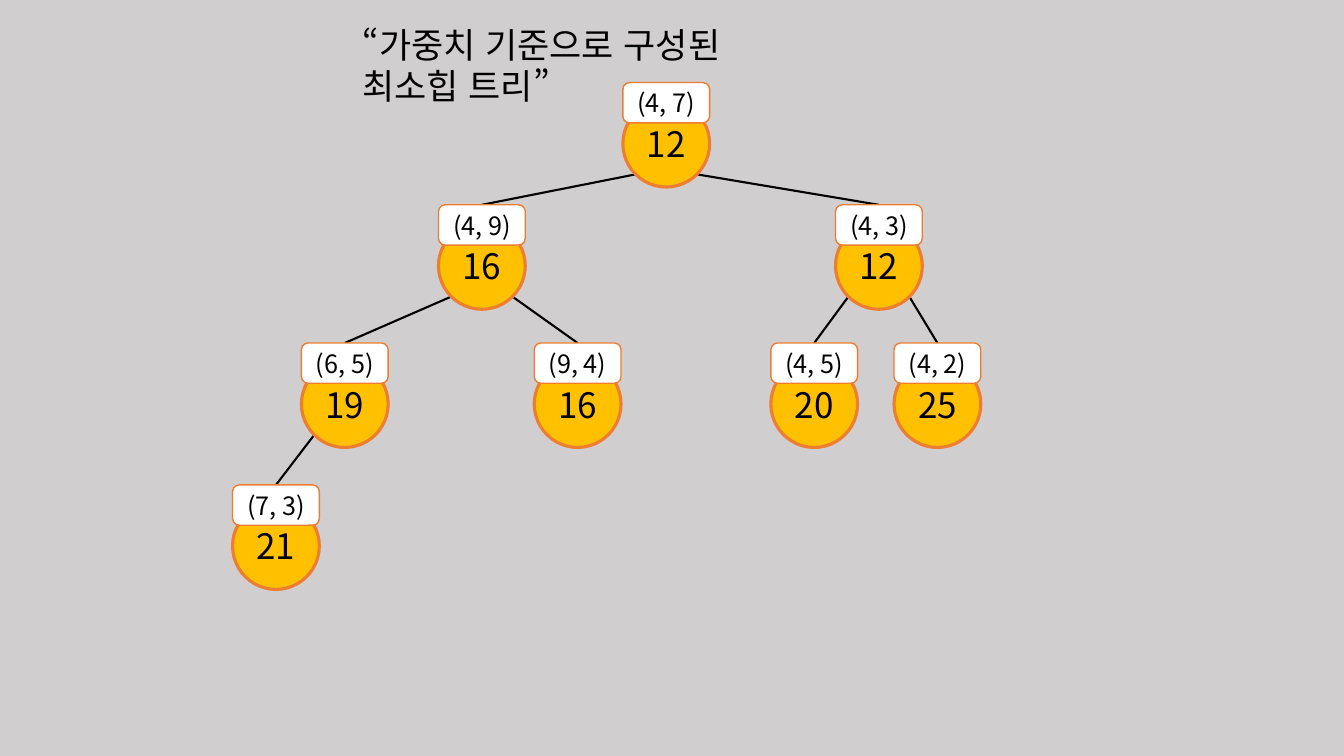
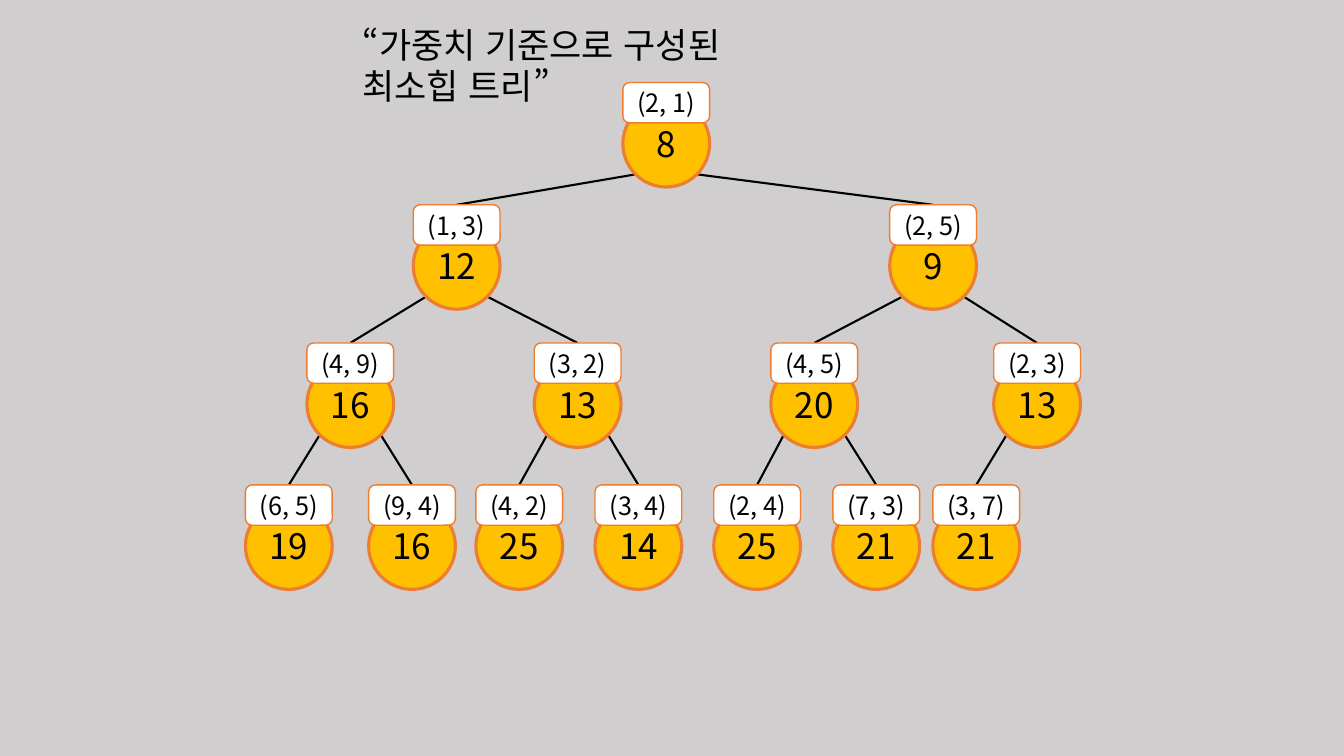
from lxml import etree
from pptx import Presentation
from pptx.dml.color import RGBColor
from pptx.enum.lang import MSO_LANGUAGE_ID
from pptx.enum.shapes import MSO_CONNECTOR, MSO_SHAPE
from pptx.enum.text import MSO_ANCHOR, MSO_AUTO_SIZE, PP_ALIGN
from pptx.oxml.ns import qn
from pptx.util import Pt

STRAIGHT = MSO_CONNECTOR.STRAIGHT
ELLIPSE, ROUNDED = MSO_SHAPE.OVAL, MSO_SHAPE.ROUNDED_RECTANGLE
MIDDLE, CENTER = MSO_ANCHOR.MIDDLE, PP_ALIGN.CENTER
FIT_SHAPE = MSO_AUTO_SIZE.SHAPE_TO_FIT_TEXT
KOREAN = MSO_LANGUAGE_ID.KOREAN

GREY = RGBColor(0xD0, 0xCE, 0xCE)
BLACK = RGBColor(0, 0, 0)
WHITE = RGBColor(0xFF, 0xFF, 0xFF)
GOLD = RGBColor(0xFF, 0xC0, 0x00)
ORANGE = RGBColor(0xED, 0x7D, 0x31)

FONT = "Noto Sans CJK KR"
LARGE = {"name": FONT, "size": Pt(25), "language_id": KOREAN}
SMALL = {**LARGE, "size": Pt(18)}

TITLE = "“가중치 기준으로 구성된 최소힙 트리”"
TITLE_BOX = (252, 13.5, 342.7, 37.4)
TITLE_LEADING = 29.6

LEVEL_TOPS = (59, 146.3, 245, 346.4)
NODE_SIZE = 62
BADGE_HEIGHT = 28.8
CIRCLE_DROP = 12.6
EDGE_DROP = 65.5
EDGE_SPREAD = 21.7

FIRST_TREE = (
    (475.9, "12", "(4, 7)"),
    (344.2, "16", "(4, 9)"),
    (627.8, "12", "(4, 3)"),
    (246.3, "19", "(6, 5)"),
    (412.6, "16", "(9, 4)"),
    (581.6, "20", "(4, 5)"),
    (669.6, "25", "(4, 2)"),
    (197.1, "21", "(7, 3)"),
)
SECOND_TREE = (
    (475.9, "8", "(2, 1)"),
    (326.2, "12", "(1, 3)"),
    (666.5, "9", "(2, 5)"),
    (250.2, "16", "(4, 9)"),
    (412.6, "13", "(3, 2)"),
    (581.6, "20", "(4, 5)"),
    (740.8, "13", "(2, 3)"),
    (206.3, "19", "(6, 5)"),
    (294.3, "16", "(9, 4)"),
    (370.9, "25", "(4, 2)"),
    (456, "14", "(3, 4)"),
    (540.8, "25", "(2, 4)"),
    (625.9, "21", "(7, 3)"),
    (697.3, "21", "(3, 7)"),
)


def write(para, text, style):
    """Add black text in the given style, for Latin and Korean letters alike."""
    span = para.add_run()
    span.text = text
    for key, value in style.items():
        setattr(span.font, key, value)
    span.font.color.rgb = BLACK
    east_asian = etree.SubElement(span.font._element, qn("a:ea"))
    east_asian.set("typeface", FONT)


def add_title(page, box):
    """Place the heading above the tree."""
    frame = page.shapes.add_textbox(*map(Pt, box)).text_frame
    frame.word_wrap = True
    frame.auto_size = FIT_SHAPE
    para = frame.paragraphs[0]
    para.line_spacing = Pt(TITLE_LEADING)
    write(para, TITLE, LARGE)


def add_label(group, kind, box, fill, line_width, text, style):
    """Place an outlined shape with centred text."""
    shape = group.shapes.add_shape(kind, *map(Pt, box))
    shape.shadow.inherit = False
    shape.fill.solid()
    shape.fill.fore_color.rgb = fill
    shape.line.color.rgb = ORANGE
    shape.line.width = Pt(line_width)
    frame = shape.text_frame
    frame.vertical_anchor = MIDDLE
    para = frame.paragraphs[0]
    para.alignment = CENTER
    write(para, text, style)


def add_node(page, center, top, weight, edge):
    """Place a weight circle with its edge badge on top."""
    group = page.shapes.add_group_shape()
    left = center - NODE_SIZE / 2
    circle = (left, top + CIRCLE_DROP, NODE_SIZE, NODE_SIZE)
    badge = (left, top, NODE_SIZE, BADGE_HEIGHT)
    add_label(group, ELLIPSE, circle, GOLD, 2.25, weight, LARGE)
    add_label(group, ROUNDED, badge, WHITE, 1, edge, SMALL)


def add_branch(page, parent, child, side):
    """Join the lower left or right of a parent to the top of its child."""
    start = (parent[0] + side * EDGE_SPREAD, parent[1] + EDGE_DROP)
    line = page.shapes.add_connector(STRAIGHT, *map(Pt, start + child))
    line.line.color.rgb = BLACK
    line.line.width = Pt(1.5)
    etree.SubElement(line._element.spPr, qn("a:effectLst"))


def add_tree(page, nodes):
    """Draw a heap whose nodes are listed level by level."""
    places = [
        (node[0], LEVEL_TOPS[(index + 1).bit_length() - 1])
        for index, node in enumerate(nodes)
    ]
    for index in range(1, len(nodes)):
        side = -1 if index % 2 else 1
        add_branch(page, places[(index - 1) // 2], places[index], side)
    for (center, top), (_, weight, edge) in zip(places, nodes):
        add_node(page, center, top, weight, edge)


def add_tree_page(deck, nodes):
    """Add one grey page with the heading and a tree."""
    page = deck.slides.add_slide(deck.slide_layouts[6])
    page.background.fill.solid()
    page.background.fill.fore_color.rgb = GREY
    add_title(page, TITLE_BOX)
    add_tree(page, nodes)


def main():
    """Build and save the deck."""
    deck = Presentation()
    deck.slide_width, deck.slide_height = Pt(960), Pt(540)
    for nodes in (FIRST_TREE, SECOND_TREE):
        add_tree_page(deck, nodes)
    deck.save("out.pptx")


if __name__ == "__main__":
    main()
